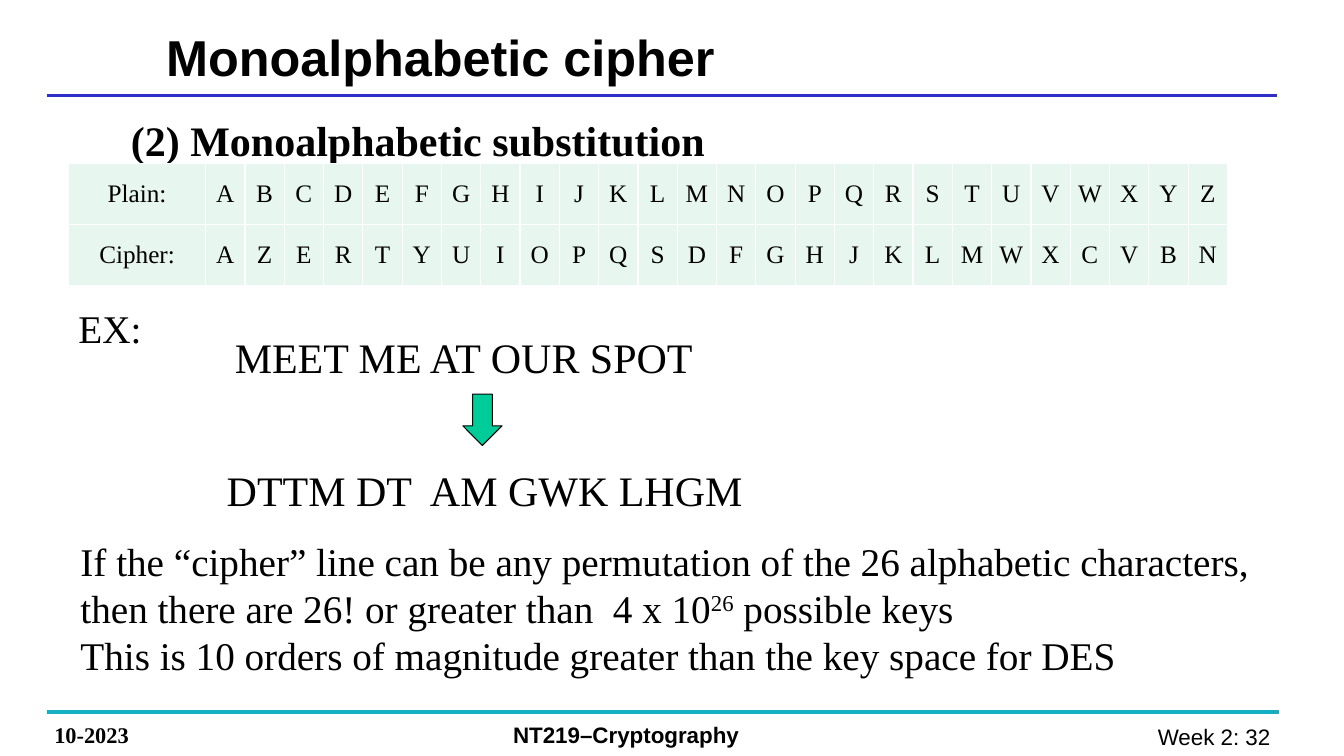
from lxml import etree
from pptx import Presentation
from pptx.dml.color import RGBColor
from pptx.enum.shapes import MSO_CONNECTOR, MSO_SHAPE
from pptx.enum.text import MSO_ANCHOR, PP_ALIGN
from pptx.oxml.ns import qn
from pptx.util import Inches, Pt

LEFT, CENTER, RIGHT = PP_ALIGN.LEFT, PP_ALIGN.CENTER, PP_ALIGN.RIGHT
TOP, MIDDLE = MSO_ANCHOR.TOP, MSO_ANCHOR.MIDDLE
STRAIGHT, DOWN_ARROW = MSO_CONNECTOR.STRAIGHT, MSO_SHAPE.DOWN_ARROW
SANS, SERIF = "Arial", "Times New Roman"
COLORS = {"text": "000000", "title_rule": "2E2ECB", "footer_rule": "16AFC2",
          "arrow": "00CC99", "cell": "E7F6EF", "border": "FFFFFF"}


def rgb(name):
    return RGBColor.from_string(COLORS[name])


class SlideBuilder:
    def __init__(self, slide):
        self.slide = slide

    def style(self, p, size, font=SERIF, bold=False, align=LEFT):
        p.alignment = align
        p.font.size = Pt(size)
        p.font.name = font
        p.font.bold = bold
        p.font.color.rgb = rgb("text")

    def text(self, box, paragraphs, size, anchor=TOP, wrap=True, **style):
        """Each paragraph is a list of runs; a run ("26", 30) is raised by 30 %."""
        sp = self.slide.shapes.add_textbox(*map(Inches, box))
        tf = sp.text_frame
        tf.word_wrap = wrap
        tf.vertical_anchor = anchor
        for i, runs in enumerate(paragraphs):
            p = tf.paragraphs[0] if i == 0 else tf.add_paragraph()
            self.style(p, size, **style)
            for content, raised in runs:
                r = p.add_run()
                r.text = content
                if raised:
                    r._r.get_or_add_rPr().set("baseline", str(raised * 1000))

    def line(self, text, box, size, **style):
        self.text(box, [[(text, 0)]], size, **style)

    def rule(self, x1, x2, y, color, width):
        c = self.slide.shapes.add_connector(
            STRAIGHT, Inches(x1), Inches(y), Inches(x2), Inches(y))
        c.line.color.rgb = rgb(color)
        c.line.width = Pt(width)
        etree.SubElement(c._element.spPr, qn("a:effectLst"))

    def arrow(self, box):
        sp = self.slide.shapes.add_shape(DOWN_ARROW, *map(Inches, box))
        sp.shadow.inherit = False
        sp.fill.solid()
        sp.fill.fore_color.rgb = rgb("arrow")
        sp.line.color.rgb = rgb("text")
        sp.line.width = Pt(0.75)

    def cell(self, cell, text):
        cell.margin_left = cell.margin_right = cell.margin_top = Inches(0.01)
        cell.margin_bottom = 0
        cell.vertical_anchor = MIDDLE
        p = cell.text_frame.paragraphs[0]
        p.add_run().text = text
        self.style(p, 18, align=CENTER)
        # Borders come before the fill in the cell properties
        tcPr = cell._tc.get_or_add_tcPr()
        for side in "LRTB":
            ln = etree.SubElement(tcPr, qn("a:ln" + side), w=str(Pt(1)))
            fill = etree.SubElement(ln, qn("a:solidFill"))
            etree.SubElement(fill, qn("a:srgbClr"), val=COLORS["border"])
        cell.fill.solid()
        cell.fill.fore_color.rgb = rgb("cell")

    def table(self, box, rows, widths):
        shape = self.slide.shapes.add_table(len(rows), len(widths), *map(Inches, box))
        table = shape.table
        for column, width in zip(table.columns, widths):
            column.width = Inches(width)
        for i, row in enumerate(rows):
            for j, value in enumerate(row):
                self.cell(table.cell(i, j), value)


def main():
    prs = Presentation()
    prs.slide_width, prs.slide_height = Inches(13.33), Inches(7.5)
    s = SlideBuilder(prs.slides.add_slide(prs.slide_layouts[6]))

    # Rules and footer
    s.rule(0.47, 12.67, 0.95, "title_rule", 2.25)
    s.rule(0.47, 12.69, 7.06, "footer_rule", 3)
    s.line("10-2023", (0.44, 7.11, 1.78, 0.37), 16, bold=True)
    s.line("NT219–Cryptography", (4.99, 7.11, 4.83, 0.37), 16, font=SANS, bold=True)
    s.line("Week 2: 32 ", (9.82, 7.12, 2.94, 0.37), 16, font=SANS, align=RIGHT)

    # Headings
    s.line("Monoalphabetic cipher", (1.55, 0.2, 8.03, 0.71), 36,
           font=SANS, bold=True, anchor=MIDDLE)
    s.line("(2) Monoalphabetic substitution", (1.2, 1.09, 5.95, 0.61), 30,
           bold=True, wrap=False)

    # Substitution table
    plain = "ABCDEFGHIJKLMNOPQRSTUVWXYZ"
    cipher = "AZERTYUIOPQSDFGHJKLMWXCVBN"
    s.table((0.68, 1.62, 11.5, 1.21),
            [["Plain:", *plain], ["Cipher:", *cipher]],
            [1.36] + [0.39] * len(plain))

    # Worked example
    s.line("EX:", (0.68, 2.97, 0.83, 0.57), 28, wrap=False)
    s.line("MEET ME AT OUR SPOT", (2.23, 3.24, 5.82, 0.61), 30)
    s.arrow((4.59, 3.91, 0.39, 0.51))
    s.line("DTTM DT  AM GWK LHGM", (2.15, 4.56, 5.82, 0.61), 30)

    # Key space
    s.text((0.7, 5.28, 11.96, 1.51), [
        [("If the “cipher” line can be any permutation of the 26 alphabetic "
          "characters, then there are 26! or greater than  4 x 10", 0),
         ("26", 30), (" possible keys", 0)],
        [("This is 10 orders of magnitude greater than the key space for DES", 0)],
    ], 28)

    prs.save("out.pptx")


if __name__ == "__main__":
    main()
